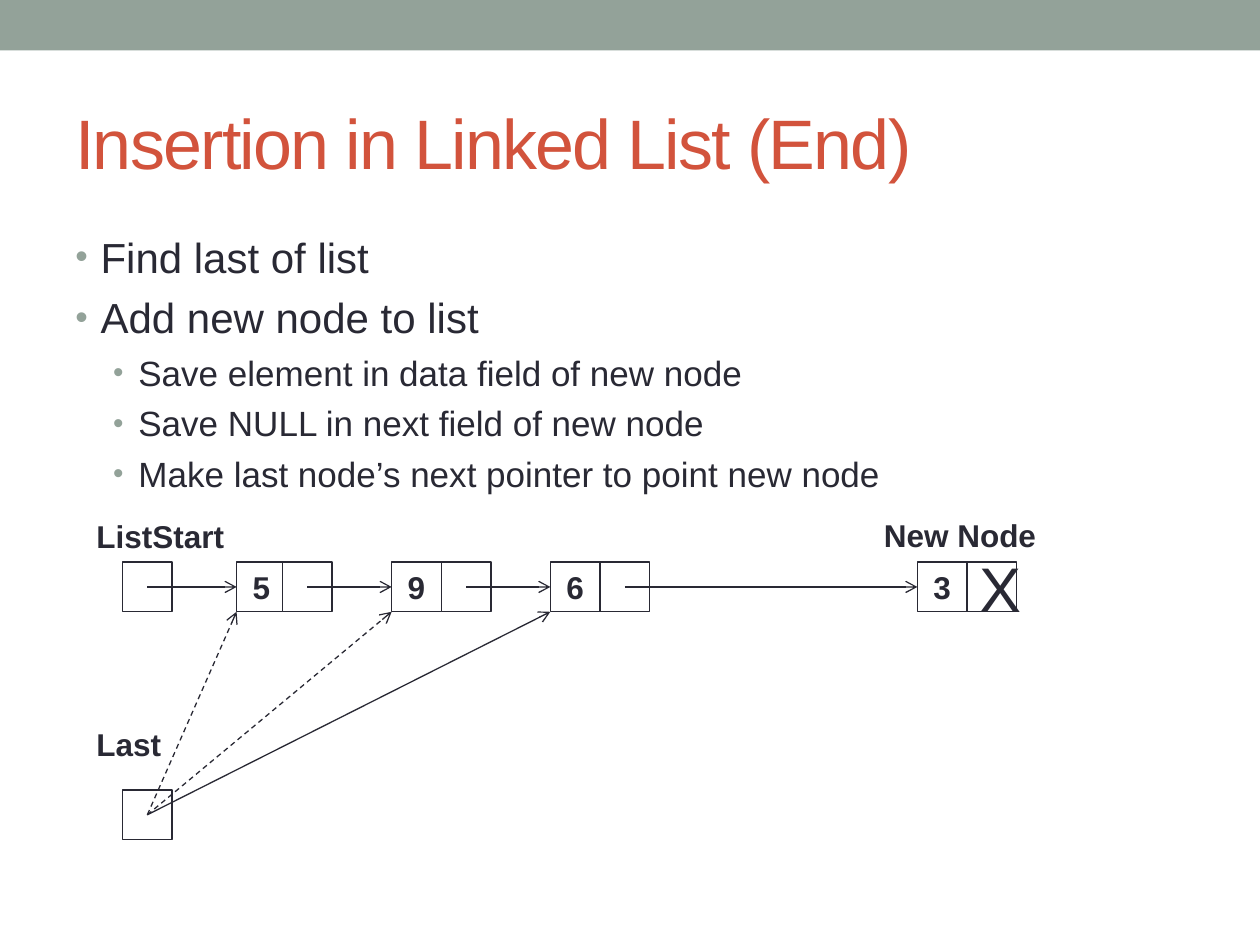
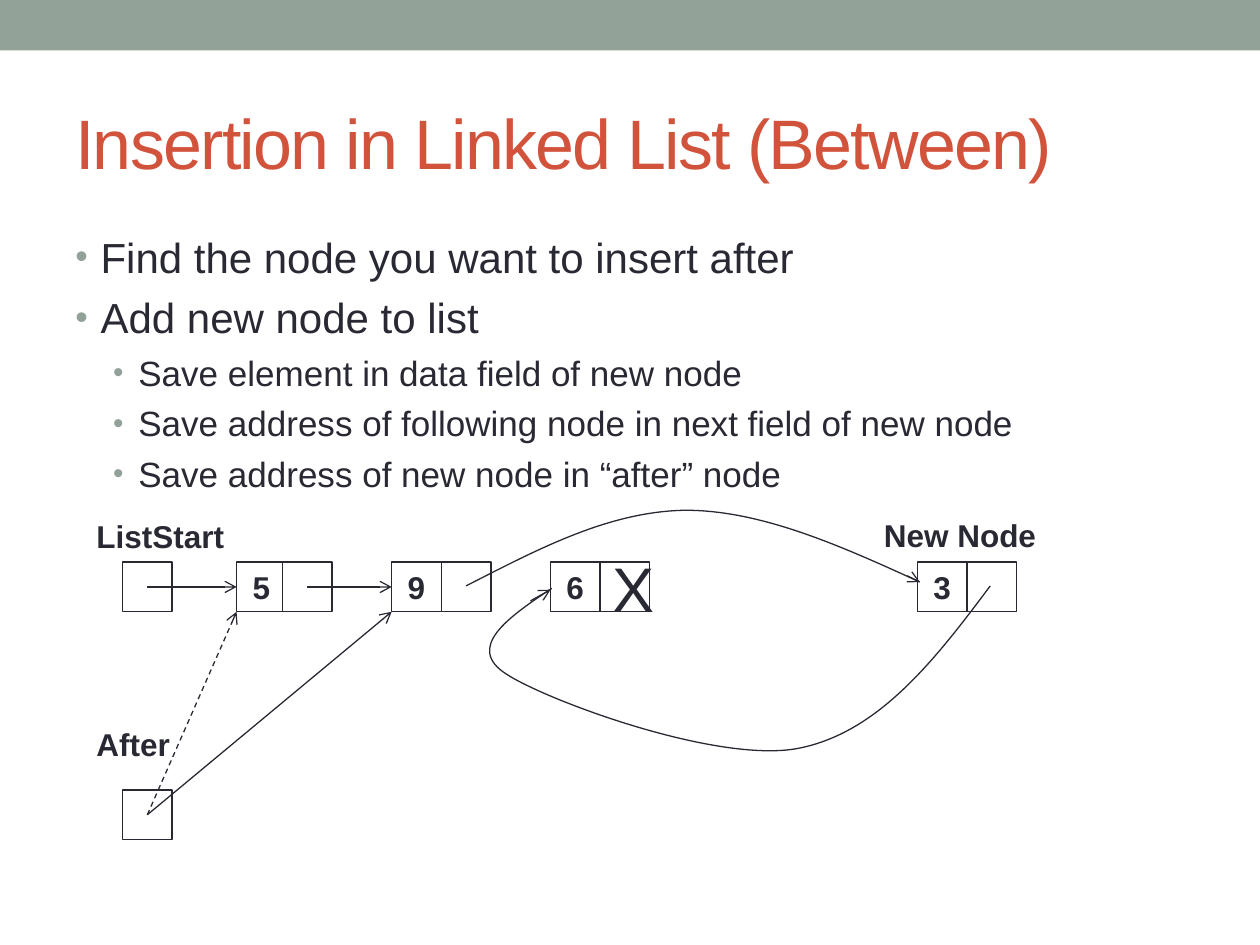
"""Builds two slides on inserting a node into a linked list."""
import lxml.etree
import pptx
import pptx.dml.color
import pptx.enum.dml
import pptx.enum.shapes
import pptx.enum.text
import pptx.oxml.ns
import pptx.util

Pt = pptx.util.Pt
qn = pptx.oxml.ns.qn
COLORS = {"band": "93A299", "title": "D2533C", "ink": "292934", "paper": "FFFFFF"}
FONT = "Arial"
CELL = 28.4
ROW_TOP = 29.2
ROW_MIDDLE = ROW_TOP + CELL / 2
ROW_BOTTOM = ROW_TOP + CELL
START_LEFT = 22
CURSOR_TOP = 159.4
DIAGRAM = (48, 292)
NODES = {"5": (87.2, 26.2), "9": (175.8, CELL), "6": (266.5, CELL), "3": (476.2, CELL)}


def rgb(name):
    return pptx.dml.color.RGBColor.from_string(COLORS[name])


def add_element(parent, tag, **attributes):
    element = lxml.etree.SubElement(parent, qn(tag))
    for key, value in attributes.items():
        element.set(key, str(value))
    return element


def style_font(font, size, color="ink", bold=False):
    font.name = FONT
    font.size = Pt(size)
    font.bold = bold
    font.color.rgb = rgb(color)


def style_line(line):
    line.color.rgb = rgb("ink")
    line.width = Pt(0.75)


def add_rectangle(page, left, top, width, height, fill):
    shape = page.shapes.add_shape(
        pptx.enum.shapes.MSO_SHAPE.RECTANGLE, Pt(left), Pt(top), Pt(width), Pt(height))
    shape.shadow.inherit = False
    shape.fill.solid()
    shape.fill.fore_color.rgb = rgb(fill)
    shape.line.fill.background()
    return shape


def add_text_box(page, left, top, width, height):
    box = page.shapes.add_textbox(Pt(left), Pt(top), Pt(width), Pt(height))
    box.text_frame.word_wrap = True
    return box.text_frame


def add_header(page, title):
    add_rectangle(page, 0, 0, 720, 28.8, "band")
    frame = add_text_box(page, 36, 42, 648, 78)
    frame.vertical_anchor = pptx.enum.text.MSO_ANCHOR.MIDDLE
    para = frame.paragraphs[0]
    span = para.add_run()
    span.text = title
    style_font(span.font, 40, "title")
    span.font._element.set("spc", "-100")


def add_bullets(page, items):
    frame = add_text_box(page, 36, 126, 648, 384)
    frame.margin_top = Pt(6)
    for index, (level, text) in enumerate(items):
        para = frame.paragraphs[0] if index == 0 else frame.add_paragraph()
        para.text = text
        para.level = level
        if index:
            para.space_before = Pt((6, 5)[level])
        properties = para._p.get_or_add_pPr()
        properties.set("marL", str(Pt((14.4, 36)[level])))
        properties.set("indent", str(Pt(-14.4)))
        color = add_element(properties, "a:buClr")
        add_element(color, "a:srgbClr", val=COLORS["band"])
        add_element(properties, "a:buSzPct", val=85000)
        add_element(properties, "a:buFont", typeface=FONT)
        add_element(properties, "a:buChar", char="•")
        style_font(para.font, (24, 20)[level])


def add_label(page, origin, left, top, text):
    frame = add_text_box(page, origin[0] + left, origin[1] + top, 107, 28.8)
    para = frame.paragraphs[0]
    para.text = text
    style_font(para.font, 18, bold=True)


def add_cell(page, origin, left, top, text=""):
    cell = add_rectangle(page, origin[0] + left, origin[1] + top, CELL, CELL, "paper")
    style_line(cell.line)
    if text:
        cell.text_frame.vertical_anchor = pptx.enum.text.MSO_ANCHOR.MIDDLE
        para = cell.text_frame.paragraphs[0]
        para.text = text
        para.alignment = pptx.enum.text.PP_ALIGN.CENTER
        is_null = text == "X"
        style_font(para.font, 36 if is_null else 18, bold=not is_null)
    return cell


def add_arrow(page, origin, start, end, dashed=False, target=None):
    points = [Pt(origin[axis] + point[axis]) for point in (start, end) for axis in (0, 1)]
    arrow = page.shapes.add_connector(pptx.enum.shapes.MSO_CONNECTOR.STRAIGHT, *points)
    style_line(arrow.line)
    if dashed:
        arrow.line.dash_style = pptx.enum.dml.MSO_LINE.DASH
    add_element(arrow.line._get_or_add_ln(), "a:tailEnd", type="arrow")
    add_element(arrow._element.spPr, "a:effectLst")
    if target is not None:
        arrow.end_connect(target, 1)


def add_curve(page, origin, points):
    """Draw cubic curves through a start point followed by triples of control points."""
    places = [(Pt(origin[0] + x), Pt(origin[1] + y)) for x, y in points]
    builder = page.shapes.build_freeform(*places[0])
    builder.add_line_segments(places[1:], close=False)
    curve = builder.convert_to_shape()
    curve.shadow.inherit = False
    curve.fill.background()
    style_line(curve.line)
    outline = next(curve._element.iter(qn("a:path")))
    segments = outline.findall(qn("a:lnTo"))
    for first in range(0, len(segments), 3):
        bezier = add_element(outline, "a:cubicBezTo")
        for segment in segments[first:first + 3]:
            bezier.append(segment[0])
            outline.remove(segment)


def add_list_diagram(page, origin, cursor, null_node, chain, visited):
    """Draw the nodes, the chained pointers and the cursor's steps."""
    add_label(page, origin, 0, 0, "ListStart")
    add_label(page, origin, 450, -0.5, "New Node")
    add_label(page, origin, 0, 119, cursor)
    add_cell(page, origin, START_LEFT, ROW_TOP)
    add_cell(page, origin, START_LEFT, CURSOR_TOP)
    data_cells = {}
    for value, (left, pitch) in NODES.items():
        data_cells[value] = add_cell(page, origin, left, ROW_TOP, value)
        add_cell(page, origin, left + pitch, ROW_TOP, "X" if value == null_node else "")

    pointer_left = START_LEFT
    for value in chain:
        left, pitch = NODES[value]
        add_arrow(page, origin, (pointer_left + CELL / 2, ROW_MIDDLE), (left, ROW_MIDDLE),
                  target=data_cells[value])
        pointer_left = left + pitch

    cursor_center = (START_LEFT + CELL / 2, CURSOR_TOP + CELL / 2)
    for value in visited:
        add_arrow(page, origin, cursor_center, (NODES[value][0], ROW_BOTTOM),
                  dashed=value != visited[-1])


def add_relinked_pointers(page, origin):
    """Draw the curved pointers into and out of the new node."""
    add_curve(page, origin, [
        (517.9, 42.8), (486.2, 85.3), (453.8, 127), (407.8, 135.7),
        (361.7, 144.3), (264.5, 108.3), (241.4, 93.2),
        (217.7, 78.1), (242.2, 60.8), (267.4, 44.2)])
    add_arrow(page, origin, (255.1, 51.4), (266.6, 45))
    add_curve(page, origin, [
        (218.4, 42.8), (259.4, 21.9), (299.8, 0.3), (343.7, -0.4),
        (386.9, -0.4), (432.2, 19.8), (477.6, 40.6)])
    add_arrow(page, origin, (470.4, 37), (477.6, 40.6))


def add_page(deck, title, items):
    page = deck.slides.add_slide(deck.slide_layouts[6])
    add_header(page, title)
    add_bullets(page, items)
    return page


def main():
    deck = pptx.Presentation()
    deck.slide_width = Pt(720)
    deck.slide_height = Pt(540)

    page = add_page(deck, "Insertion in Linked List (End)", [
        (0, "Find last of list"),
        (0, "Add new node to list"),
        (1, "Save element in data field of new node"),
        (1, "Save NULL in next field of new node"),
        (1, "Make last node’s next pointer to point new node")])
    add_list_diagram(page, DIAGRAM, "Last", "3", "5963", "596")

    page = add_page(deck, "Insertion in Linked List (Between)", [
        (0, "Find the node you want to insert after"),
        (0, "Add new node to list"),
        (1, "Save element in data field of new node"),
        (1, "Save address of following node in next field of new node"),
        (1, "Save address of new node in “after” node")])
    add_list_diagram(page, DIAGRAM, "After", "6", "59", "59")
    add_relinked_pointers(page, DIAGRAM)

    deck.save("out.pptx")


if __name__ == "__main__":
    main()
